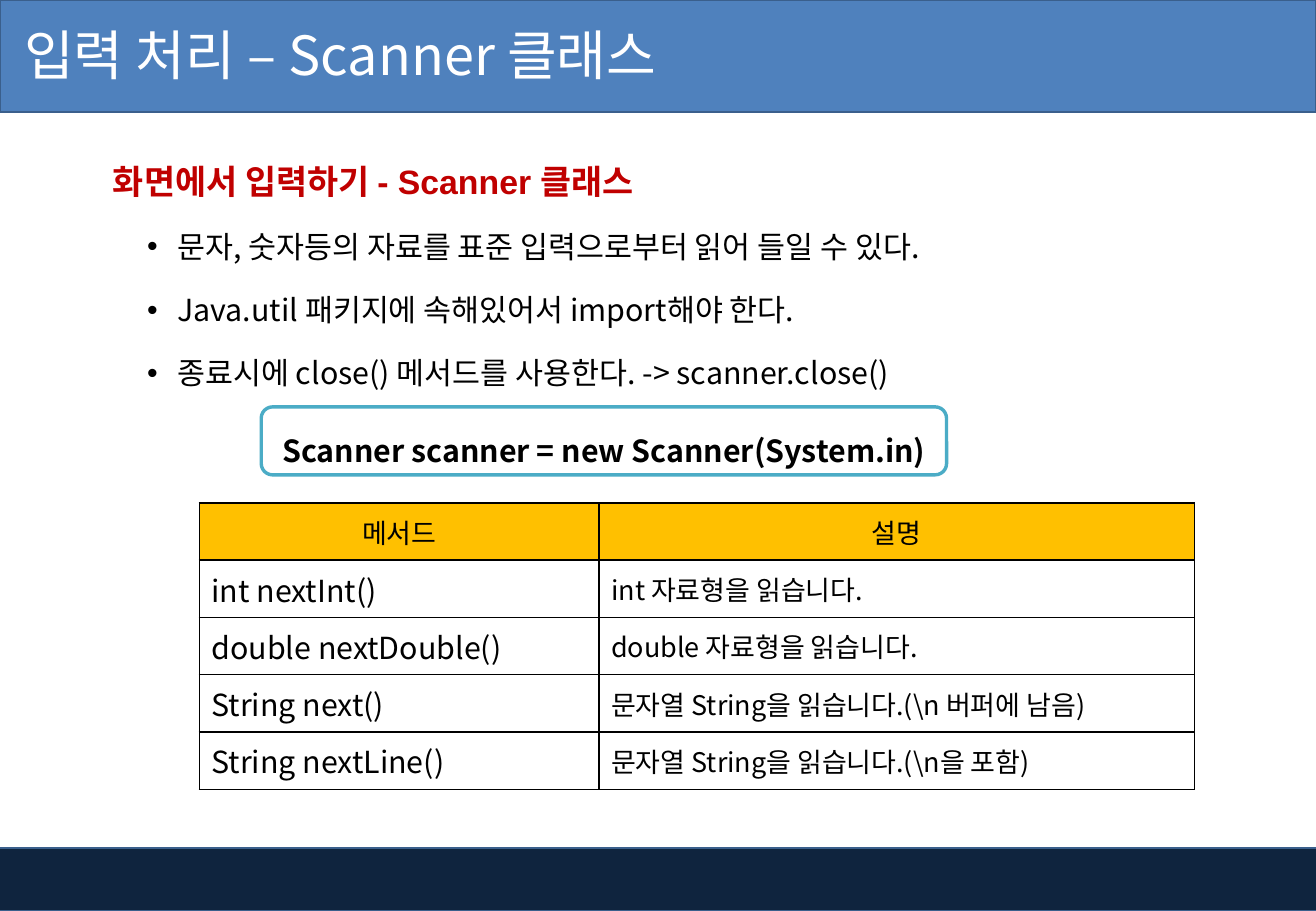
from lxml import etree
from pptx import Presentation
from pptx.dml.color import RGBColor
from pptx.enum.shapes import MSO_SHAPE
from pptx.enum.text import MSO_ANCHOR, MSO_AUTO_SIZE, PP_ALIGN
from pptx.oxml.ns import qn
from pptx.util import Inches, Pt

COLORS = {
    "white": "FFFFFF", "black": "000000", "header": "4F81BD", "footer": "0F243E",
    "band_line": "3A5F8C", "heading": "C00000", "code_line": "4BACC6", "table_head": "FFC000",
}
KOREAN = "Noto Sans CJK KR"


def style(paragraph, size, color="black", bold=False, latin=KOREAN):
    """Set the paragraph font, with the Korean font for East Asian text."""
    font = paragraph.font
    font.size, font.bold, font.name = Pt(size), bold, latin
    font.color.rgb = RGBColor.from_string(COLORS[color])
    etree.SubElement(font._element, qn("a:ea"), typeface=KOREAN)


def add_panel(preset, box, fill, line, line_width):
    panel = slide.shapes.add_shape(preset, *map(Inches, box))
    panel.shadow.inherit = False
    panel.fill.solid()
    panel.fill.fore_color.rgb = RGBColor.from_string(COLORS[fill])
    panel.line.color.rgb = RGBColor.from_string(COLORS[line])
    panel.line.width = Pt(line_width)
    return panel


prs = Presentation()
prs.slide_width, prs.slide_height = Inches(10.83), Inches(7.5)
slide = prs.slides.add_slide(prs.slide_layouts[1])

# Bands go behind the placeholders
for box, fill in [((0, 0, 10.83, 0.92), "header"), ((-0.04, 6.98, 10.88, 0.52), "footer")]:
    band = add_panel(MSO_SHAPE.RECTANGLE, box, fill, "band_line", 1)
    slide.shapes._spTree.insert(2, band._element)

title = slide.shapes.title
title.left, title.top, title.width, title.height = map(Inches, (0, -0.03, 6.91, 0.94))
title_frame = title.text_frame
title_frame.text = "입력 처리 – Scanner 클래스"
title_frame.margin_left = Inches(0.2)
title_frame.vertical_anchor = MSO_ANCHOR.MIDDLE
title_frame.auto_size = MSO_AUTO_SIZE.NONE
title_frame.paragraphs[0].alignment = PP_ALIGN.LEFT
style(title_frame.paragraphs[0], 32, "white")

body = slide.placeholders[1]
body.left, body.top, body.width, body.height = map(Inches, (0.61, 1.11, 7.88, 2.01))
body_frame = body.text_frame
body_frame.auto_size = MSO_AUTO_SIZE.NONE
body_frame.text = "\n".join([
    "화면에서 입력하기 - Scanner 클래스",
    "문자, 숫자등의 자료를 표준 입력으로부터 읽어 들일 수 있다.",
    "Java.util 패키지에 속해있어서 import해야 한다.",
    "종료시에 close() 메서드를 사용한다. -> scanner.close()",
])
heading, *points = body_frame.paragraphs
heading.line_spacing = 1.5
heading.space_before = Pt(0)
heading_props = heading._p.get_or_add_pPr()
heading_props.set("marL", str(Inches(0.22)))
heading_props.set("indent", "0")
etree.SubElement(heading_props, qn("a:buNone"))
style(heading, 20, "heading", bold=True, latin="Arial")
for point in points:
    point.level = 1
    point.line_spacing = 1.5
    point.space_before = Pt(5)
    point_props = point._p.get_or_add_pPr()
    point_props.set("marL", str(Inches(0.75)))
    point_props.set("indent", str(Inches(-0.25)))
    etree.SubElement(point_props, qn("a:buFont"), typeface="Arial")
    etree.SubElement(point_props, qn("a:buChar"), char="•")
    style(point, 18)

code = add_panel(MSO_SHAPE.ROUNDED_RECTANGLE, (2.15, 3.35, 5.64, 0.56), "white", "code_line", 2)
code.text_frame.text = "Scanner scanner = new Scanner(System.in)"
code.text_frame.word_wrap = True
code.text_frame.vertical_anchor = MSO_ANCHOR.MIDDLE
code_line = code.text_frame.paragraphs[0]
code_line.alignment = PP_ALIGN.CENTER
code_line.line_spacing = 1.5
style(code_line, 18, bold=True)

methods = [
    ("메서드", "설명"),
    ("int nextInt()", "int 자료형을 읽습니다."),
    ("double nextDouble()", "double 자료형을 읽습니다."),
    ("String next()", "문자열 String을 읽습니다.(\\n 버퍼에 남음)"),
    ("String nextLine()", "문자열 String을 읽습니다.(\\n을 포함)"),
]
table = slide.shapes.add_table(
    len(methods), 2, Inches(1.64), Inches(4.14), Inches(8.19), Inches(2.36)).table
table.horz_banding = False
table.columns[0].width, table.columns[1].width = Inches(3.29), Inches(4.9)
for r, row in enumerate(methods):
    for c, text in enumerate(row):
        cell = table.cell(r, c)
        cell.text = text
        cell.vertical_anchor = MSO_ANCHOR.MIDDLE
        paragraph = cell.text_frame.paragraphs[0]
        style(paragraph, 18 if r and c == 0 else 16)
        cell_props = cell._tc.get_or_add_tcPr()
        for side in ("lnL", "lnR", "lnT", "lnB"):
            border = etree.SubElement(cell_props, qn(f"a:{side}"), w=str(Pt(1)))
            border_fill = etree.SubElement(border, qn("a:solidFill"))
            etree.SubElement(border_fill, qn("a:srgbClr"), val=COLORS["black"])
        if r == 0:
            paragraph.alignment = PP_ALIGN.CENTER
            cell.fill.solid()
            cell.fill.fore_color.rgb = RGBColor.from_string(COLORS["table_head"])
        else:
            cell.fill.background()

prs.save("out.pptx")
